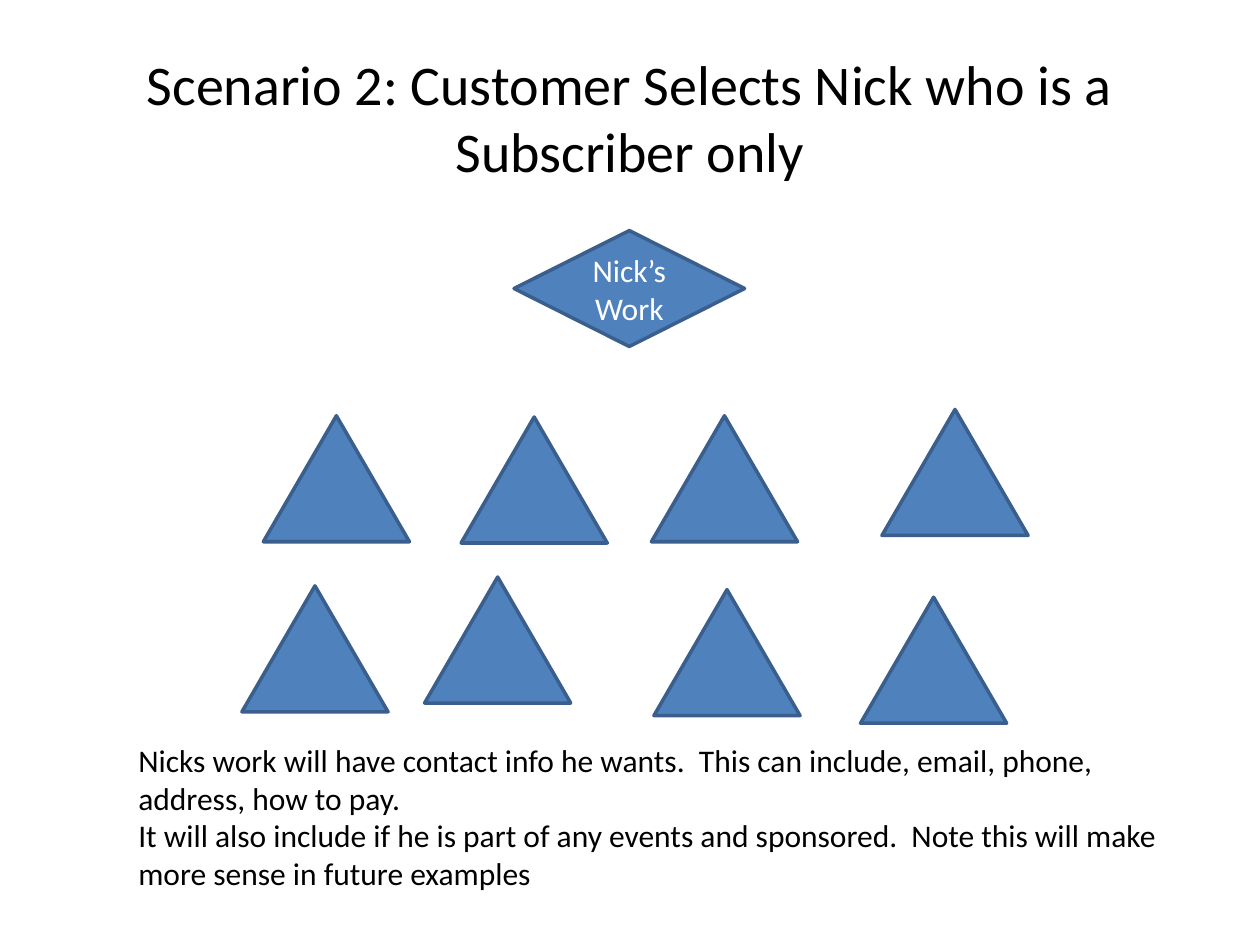
from pptx import Presentation
from pptx import util as u
from pptx.dml.color import RGBColor
from pptx.enum import shapes, text


def color(value):
    return RGBColor.from_string(value)


class Deck:
    """Holds the style and the current slide, and adds each kind of element."""

    font, fill, line = "Calibri", "4F81BD", "3A5F8C"

    def __init__(self, width, height):
        self.prs = Presentation()
        self.prs.slide_width = u.Inches(width)
        self.prs.slide_height = u.Inches(height)
        self.s = self.prs.slides.add_slide(self.prs.slide_layouts[5])

    def add_text(self, tf, lines, size, ink, align, anchor):
        frame = {"word_wrap": True, "vertical_anchor": anchor}
        for name, value in frame.items():
            setattr(tf, name, value)
        style = {"name": self.font, "size": u.Pt(size)}
        for i, line in enumerate(lines):
            p = tf.add_paragraph() if i else tf.paragraphs[0]
            p.alignment = align
            r = p.add_run()
            r.text = line
            r.font.color.rgb = color(ink)
            for name, value in style.items():
                setattr(r.font, name, value)

    def title(self, line, left, top, width, height):
        sp = self.s.shapes.title
        place = {"left": left, "top": top, "width": width, "height": height}
        for name, value in place.items():
            setattr(sp, name, u.Inches(value))
        self.add_text(sp.text_frame, [line], 32, "000000",
                      text.PP_ALIGN.CENTER, text.MSO_ANCHOR.MIDDLE)

    def shape(self, kind, left, top, width, height, label=None):
        sp = self.s.shapes.add_shape(
            kind, *map(u.Inches, (left, top, width, height)))
        sp.shadow.inherit = False
        sp.fill.solid()
        sp.fill.fore_color.rgb = color(self.fill)
        sp.line.color.rgb = color(self.line)
        sp.line.width = u.Pt(2)
        if label:
            self.add_text(sp.text_frame, [label], 18, "FFFFFF",
                          text.PP_ALIGN.CENTER, text.MSO_ANCHOR.MIDDLE)

    def note(self, lines, left, top, width, height):
        sp = self.s.shapes.add_textbox(
            *map(u.Inches, (left, top, width, height)))
        tf = sp.text_frame
        self.add_text(tf, lines, 18, "000000",
                      text.PP_ALIGN.LEFT, text.MSO_ANCHOR.TOP)
        tf.auto_size = text.MSO_AUTO_SIZE.SHAPE_TO_FIT_TEXT


def main():
    deck = Deck(10, 7.5)
    kinds = shapes.MSO_SHAPE
    deck.title("Scenario 2: Customer Selects Nick who is a Subscriber only",
               0.5, 0.3, 9, 1.25)
    deck.shape(kinds.DIAMOND, 4.08, 1.83, 1.83, 0.92, "Nick’s Work")
    work_items = [
        (2.09, 3.3), (3.37, 4.58), (5.19, 4.68), (6.83, 4.74),
        (3.66, 3.31), (5.17, 3.3), (7, 3.25), (1.92, 4.65),
    ]
    for left, top in work_items:
        deck.shape(kinds.ISOSCELES_TRIANGLE, left, top, 1.16, 1)
    deck.note([
        "Nicks work will have contact info he wants.  This can include, "
        "email, phone, address, how to pay.",
        "It will also include if he is part of any events and sponsored.  "
        "Note this will make more sense in future examples",
    ], 1, 5.83, 8.33, 1.31)
    deck.prs.save("out.pptx")


if __name__ == "__main__":
    main()
